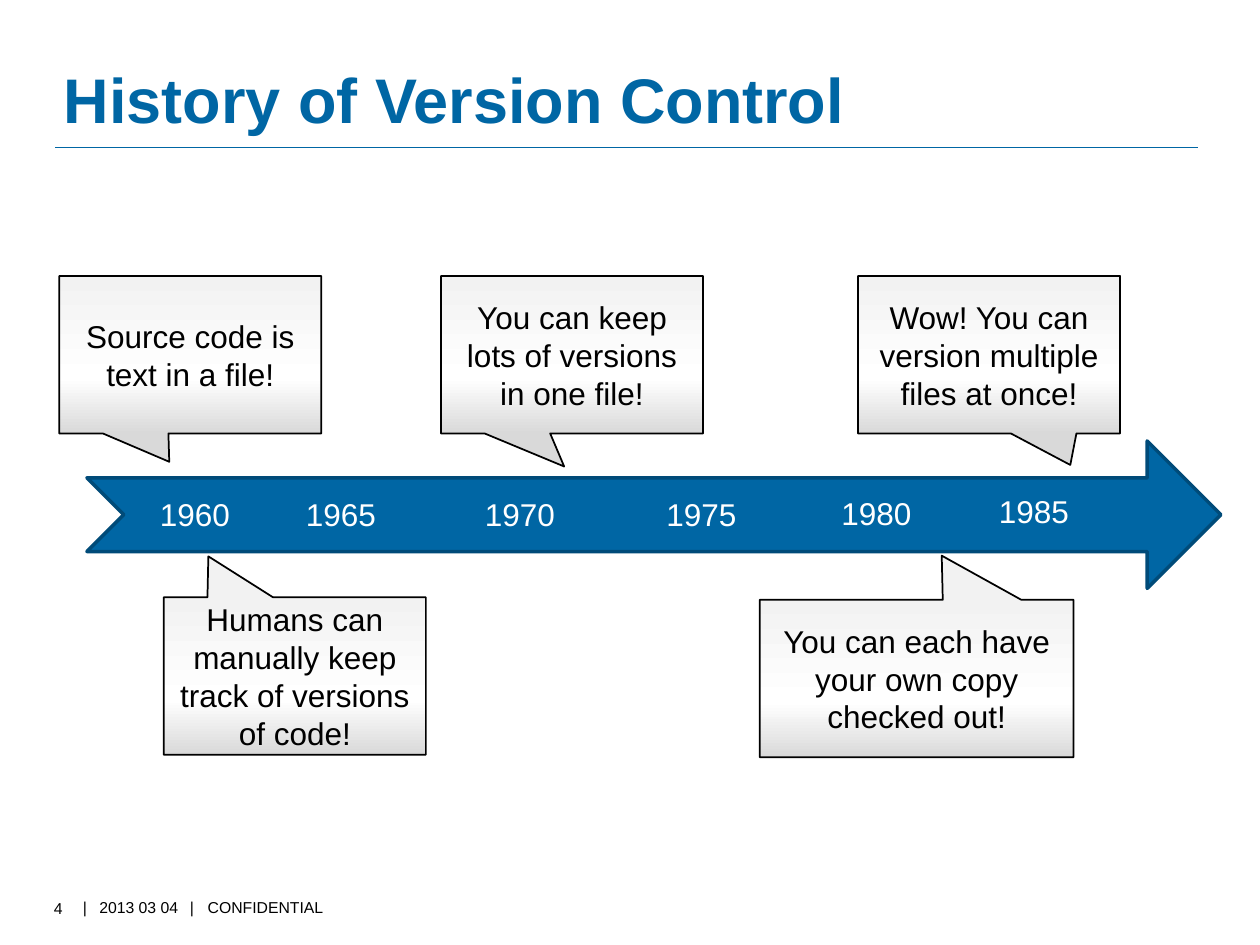
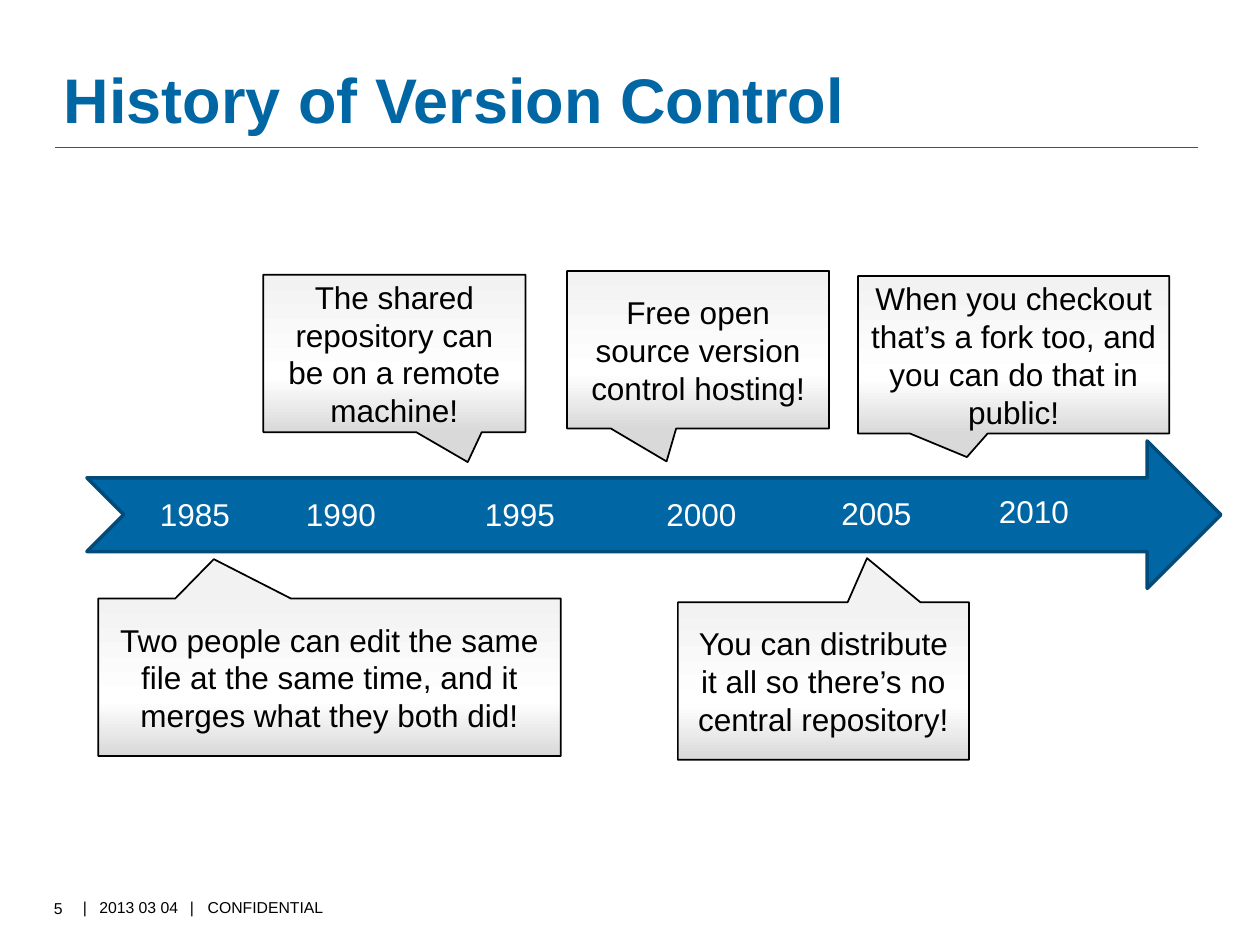
from copy import deepcopy
from dataclasses import dataclass

from lxml.etree import SubElement
from pptx import Presentation
from pptx.dml.color import RGBColor
from pptx.enum.shapes import MSO_CONNECTOR, MSO_SHAPE
from pptx.enum.text import MSO_ANCHOR, PP_ALIGN
from pptx.oxml.ns import qn
from pptx.util import Inches, Pt


@dataclass(frozen=True)
class Theme:
    font: str = "Arial"
    blue: str = "0066A4"
    dark_blue: str = "004B79"
    black: str = "000000"
    white: str = "FFFFFF"
    callout_stops: tuple = ((0, "F2F2F2"), (0.65, "FFFFFF"), (1, "D9D9D9"))
    title_size: int = 36
    body_size: int = 18
    footer_size: int = 9


FOOTER_PARTS = ("|", "2013 03 04", "|", "CONFIDENTIAL")
FOOTER_TABS = (0.13, 0.85, 0.99)
YEAR_PLACES = ((1.17, 3.88), (2.33, 3.88), (3.75, 3.88),
               (5.19, 3.88), (6.58, 3.87), (7.83, 3.86))
YEAR_STEP = 5
CALLOUT_HEIGHT = 1.25

# Each callout: text, (left, top, width), pointer tip relative to the centre
TIMELINES = (
    (4, 1960, (
        ("Source code is text in a file!", (0.47, 2.19, 2.08), (-0.08, 0.68)),
        ("Humans can manually keep track of versions of code!",
         (1.3, 4.74, 2.08), (-0.33, -0.76)),
        ("You can each have your own copy checked out!",
         (6.03, 4.76, 2.49), (0.08, -0.78)),
        ("You can keep lots of versions in one file!",
         (3.5, 2.19, 2.08), (-0.03, 0.71)),
        ("Wow! You can version multiple files at once!",
         (6.81, 2.19, 2.08), (0.31, 0.7)),
    )),
    (5, 1985, (
        ("The shared repository can be on a remote machine!",
         (2.09, 2.18, 2.08), (0.28, 0.69)),
        ("Two people can edit the same file at the same time, and it merges what they both did!",
         (0.78, 4.75, 3.67), (-0.25, -0.75)),
        ("You can distribute it all so there’s no central repository!",
         (5.38, 4.78, 2.31), (0.15, -0.78)),
        ("Free open source version control hosting!",
         (4.5, 2.15, 2.08), (-0.12, 0.71)),
        ("When you checkout that’s a fork too, and you can do that in public!",
         (6.81, 2.19, 2.47), (-0.15, 0.65)),
    )),
)


class Deck:
    def __init__(self, theme):
        self.theme = theme
        self.presentation = Presentation()
        self.presentation.slide_width = Inches(10)
        self.presentation.slide_height = Inches(7.5)
        self.slide = None

    def new_slide(self, title, number):
        """Start a slide with the shared rule, title and footer."""
        blank = self.presentation.slide_layouts[6]
        self.slide = self.presentation.slides.add_slide(blank)
        self.rule((0.44, 1.17), (9.51, 1.17))
        self.title(title)
        self.footer(number)

    def add_text(self, frame, text, size, color, bold=False):
        frame.word_wrap = True
        paragraph = frame.paragraphs[0]
        run = paragraph.add_run()
        run.text = text
        run.font.name = self.theme.font
        run.font.size = Pt(size)
        run.font.bold = bold
        run.font.color.rgb = RGBColor.from_string(color)
        return paragraph

    def label(self, text, place, size, color, bold=False):
        frame = self.slide.shapes.add_textbox(*map(Inches, place)).text_frame
        return frame, self.add_text(frame, text, size, color, bold)

    def rule(self, start, end):
        rule = self.slide.shapes.add_connector(
            MSO_CONNECTOR.STRAIGHT, *map(Inches, start + end))
        rule.line.color.rgb = RGBColor.from_string(self.theme.blue)
        rule.line.width = Pt(1)
        SubElement(rule._element.spPr, qn("a:effectLst"))

    def title(self, text):
        frame, paragraph = self.label(text, (0.41, 0.13, 9.14, 0.95),
                                      self.theme.title_size, self.theme.blue, bold=True)
        frame.vertical_anchor = MSO_ANCHOR.BOTTOM
        frame.margin_bottom = 0
        paragraph.line_spacing = 0.8

    def footer(self, number):
        size, color = self.theme.footer_size, self.theme.black
        _, paragraph = self.label("\t".join(FOOTER_PARTS), (0.56, 7.08, 3.17, 0.34),
                                  size, color)
        tabs = SubElement(paragraph._p.get_or_add_pPr(), qn("a:tabLst"))
        for position in FOOTER_TABS:
            SubElement(tabs, qn("a:tab"), pos=str(Inches(position)), algn="l")
        self.label(str(number), (0.33, 7.08, 0.51, 0.31), size, color)

    def outlined_shape(self, kind, place, line_color, line_width):
        shape = self.slide.shapes.add_shape(kind, *map(Inches, place))
        shape.shadow.inherit = False
        shape.line.color.rgb = RGBColor.from_string(line_color)
        shape.line.width = Pt(line_width)
        return shape

    def time_arrow(self):
        arrow = self.outlined_shape(MSO_SHAPE.NOTCHED_RIGHT_ARROW, (0.69, 3.5, 9, 1.17),
                                    self.theme.dark_blue, 2)
        arrow.fill.solid()
        arrow.fill.fore_color.rgb = RGBColor.from_string(self.theme.blue)

    def callout(self, text, place, tip):
        callout = self.outlined_shape(MSO_SHAPE.RECTANGULAR_CALLOUT,
                                      place + (CALLOUT_HEIGHT,), self.theme.black, 1)
        callout.adjustments[0], callout.adjustments[1] = tip
        self.shade(callout)
        frame = callout.text_frame
        frame.vertical_anchor = MSO_ANCHOR.MIDDLE
        paragraph = self.add_text(frame, text, self.theme.body_size, self.theme.black)
        paragraph.alignment = PP_ALIGN.CENTER

    def shade(self, callout):
        """Fill from top to bottom with the theme's three-stop gradient."""
        callout.fill.gradient()
        callout.fill.gradient_angle = 270
        stop_list = callout._element.spPr.find(qn("a:gradFill")).find(qn("a:gsLst"))
        stop_list.append(deepcopy(stop_list[0]))
        for stop, (position, color) in zip(callout.fill.gradient_stops,
                                           self.theme.callout_stops):
            stop.position = position
            stop.color.rgb = RGBColor.from_string(color)

    def years(self, first_year):
        for index, place in enumerate(YEAR_PLACES):
            self.label(str(first_year + index * YEAR_STEP), place + (1.17, 0.4),
                       self.theme.body_size, self.theme.white)


def main():
    deck = Deck(Theme())
    for number, first_year, callouts in TIMELINES:
        deck.new_slide("History of Version Control", number)
        deck.time_arrow()
        for text, place, tip in callouts:
            deck.callout(text, place, tip)
        deck.years(first_year)
    deck.presentation.save("out.pptx")


if __name__ == "__main__":
    main()
